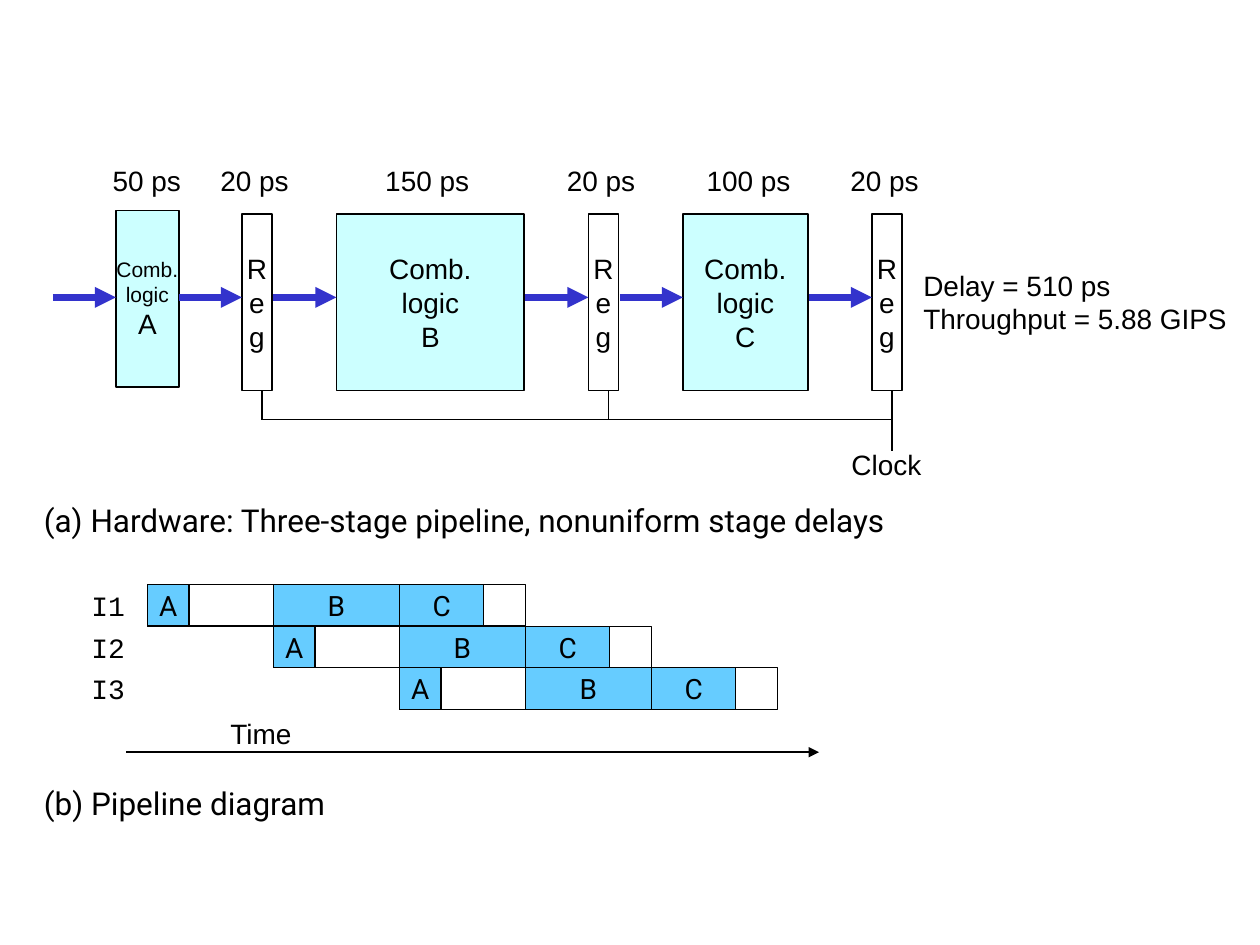
from dataclasses import dataclass
from typing import Optional

from lxml import etree
from pptx import Presentation
from pptx.dml.color import RGBColor
from pptx.enum import shapes, text
from pptx.oxml import ns
from pptx.util import Inches, Pt


@dataclass(frozen=True)
class Theme:
    """Colours, fonts and type sizes of the slide."""
    ink: str = "000000"
    paper: str = "FFFFFF"
    logic: str = "CCFFFF"
    active: str = "66CCFF"
    arrow: str = "3333CC"
    sans: str = "Arial"
    mono: str = "Courier New"
    caption: str = "Roboto"
    small: int = 12
    body: int = 16
    heading: int = 18


@dataclass(frozen=True)
class Block:
    """A hardware block: combinational logic or a register."""
    x: float
    w: float
    words: str
    fill: str
    y: float = 1.7


@dataclass(frozen=True)
class Label:
    """A free line or two of text."""
    x: float
    y: float
    w: float
    h: float
    words: str
    align: str = "LEFT"
    font: str = Theme.sans
    size: int = Theme.body


@dataclass(frozen=True)
class Phase:
    """One cell of an instruction's row, placed from the row's start."""
    offset: float
    w: float
    words: str = ""
    fill: Optional[str] = None


T = Theme()
LOGIC_H, ARROW_Y, ARROW_LEN = 1.4, 2.36, 0.5
BUS_Y, BLOCK_BOTTOM, CLOCK_Y = 3.33, 3.1, 3.58
ROW_X, ROW_Y, ROW_H, STAGE = 1.17, 4.64, 0.33, 1.0
REGISTERS = (1.92, 4.67, 6.92)
ARROWS = (0.42, 1.42, 2.17, 4.17, 4.92, 6.42)

BLOCKS = [Block(x, 0.24, "R\ne\ng", T.paper) for x in REGISTERS] + [
    Block(0.92, 0.5, "Comb.\nlogic\nA", T.logic, 1.67),
    Block(2.67, 1.49, "Comb.\nlogic\nB", T.logic),
    Block(5.42, 0.99, "Comb.\nlogic\nC", T.logic),
]
PHASES = [
    Phase(0, ROW_H, "A", T.active),
    Phase(STAGE, STAGE, "B", T.active),
    Phase(2 * STAGE, 0.67, "C", T.active),
    Phase(0, STAGE),
    Phase(2 * STAGE, STAGE),
]
LABELS = [Label(x - 0.28, 1.25, 0.76, 0.36, "20 ps", "CENTER") for x in REGISTERS] + [
    Label(0.75, 1.25, 0.83, 0.36, "50 ps", "CENTER"),
    Label(2.75, 1.25, 1.28, 0.36, "150 ps", "CENTER"),
    Label(5.48, 1.25, 0.92, 0.36, "100 ps", "CENTER"),
    Label(6.63, 3.5, 0.81, 0.36, "Clock", "CENTER"),
    Label(7.23, 2.08, 2.68, 0.64, "Delay = 510 ps\nThroughput = 5.88 GIPS"),
    Label(1.73, 5.64, 0.73, 0.36, "Time"),
    Label(0.25, 3.93, 7.07, 0.4, "(a) Hardware: Three-stage pipeline, nonuniform stage delays",
          font=T.caption, size=T.heading),
    Label(0.25, 6.17, 2.53, 0.4, "(b) Pipeline diagram", font=T.caption, size=T.heading),
]


def write(sp, words: str, align: str, font: str, size: int) -> None:
    """Put unwrapped text into a shape and format its runs."""
    tf = sp.text_frame
    tf.word_wrap = False
    tf.text = words
    for p in tf.paragraphs:
        p.alignment = getattr(text.PP_ALIGN, align)
        for r in p.runs:
            r.font.name, r.font.size = font, Pt(size)
            r.font.color.rgb = RGBColor.from_string(T.ink)


def add_label(s, label: Label) -> None:
    """Draw a text box that fits its text."""
    sp = s.shapes.add_textbox(*map(Inches, (label.x, label.y, label.w, label.h)))
    write(sp, label.words, label.align, label.font, label.size)
    sp.text_frame.auto_size = text.MSO_AUTO_SIZE.SHAPE_TO_FIT_TEXT


def add_box(parent, x: float, y: float, w: float, h: float,
            fill: Optional[str], line: Optional[float]):
    """Draw a rectangle with optional fill and outline."""
    sp = parent.shapes.add_shape(shapes.MSO_SHAPE.RECTANGLE, *map(Inches, (x, y, w, h)))
    sp.shadow.inherit = False
    if fill:
        sp.fill.solid()
        sp.fill.fore_color.rgb = RGBColor.from_string(fill)
    else:
        sp.fill.background()
    if line:
        sp.line.color.rgb = RGBColor.from_string(T.ink)
        sp.line.width = Pt(line)
    else:
        sp.line.fill.background()
    sp.text_frame.vertical_anchor = text.MSO_ANCHOR.MIDDLE
    return sp


def add_line(s, x1: float, y1: float, x2: float, y2: float,
             color: str = T.ink, width: float = 1, arrow: bool = False) -> None:
    """Draw a straight line, with an arrowhead at its end if asked."""
    sp = s.shapes.add_connector(shapes.MSO_CONNECTOR.STRAIGHT, *map(Inches, (x1, y1, x2, y2)))
    sp.line.color.rgb = RGBColor.from_string(color)
    sp.line.width = Pt(width)
    if arrow:
        etree.SubElement(sp.line._get_or_add_ln(), ns.qn("a:tailEnd"), type="triangle")
    etree.SubElement(sp._element.spPr, ns.qn("a:effectLst"))


def draw_hardware(s) -> None:
    """Draw the blocks, data arrows and clock wiring."""
    for b in BLOCKS:
        sp = add_box(s, b.x, b.y, b.w, LOGIC_H, b.fill, 1)
        write(sp, b.words, "CENTER", T.sans, T.body)
        if b.w == ARROW_LEN:
            for p in sp.text_frame.paragraphs[:2]:
                p.runs[0].font.size = Pt(T.small)
    for x in ARROWS:
        add_line(s, x, ARROW_Y, x + ARROW_LEN, ARROW_Y, T.arrow, 4, True)
    taps = [x + 0.16 for x in REGISTERS]
    for x in taps:
        add_line(s, x, BLOCK_BOTTOM, x, CLOCK_Y if x == taps[-1] else BUS_Y)
    add_line(s, taps[0], BUS_Y, taps[-1], BUS_Y)


def draw_timeline(s) -> None:
    """Draw one row per instruction, each a stage later, and the time axis."""
    for i in range(3):
        y = ROW_Y + i * ROW_H
        name = add_box(s, 0.17, y, 0.92, ROW_H, T.paper, None)
        write(name, f"I{i + 1}", "RIGHT", T.mono, T.body)
        row = s.shapes.add_group_shape()
        for phase in PHASES:
            x = ROW_X + i * STAGE + phase.offset
            sp = add_box(row, x, y, phase.w, ROW_H, phase.fill, 0.75)
            if phase.words:
                write(sp, phase.words, "CENTER", T.caption, T.body)
    add_line(s, 1, 5.97, 6.5, 5.97, arrow=True)


def main() -> None:
    """Build and save the slide."""
    prs = Presentation()
    prs.slide_width, prs.slide_height = Inches(10), Inches(7.5)
    s = prs.slides.add_slide(prs.slide_layouts[6])
    draw_hardware(s)
    draw_timeline(s)
    for label in LABELS:
        add_label(s, label)
    prs.save("out.pptx")


main()
